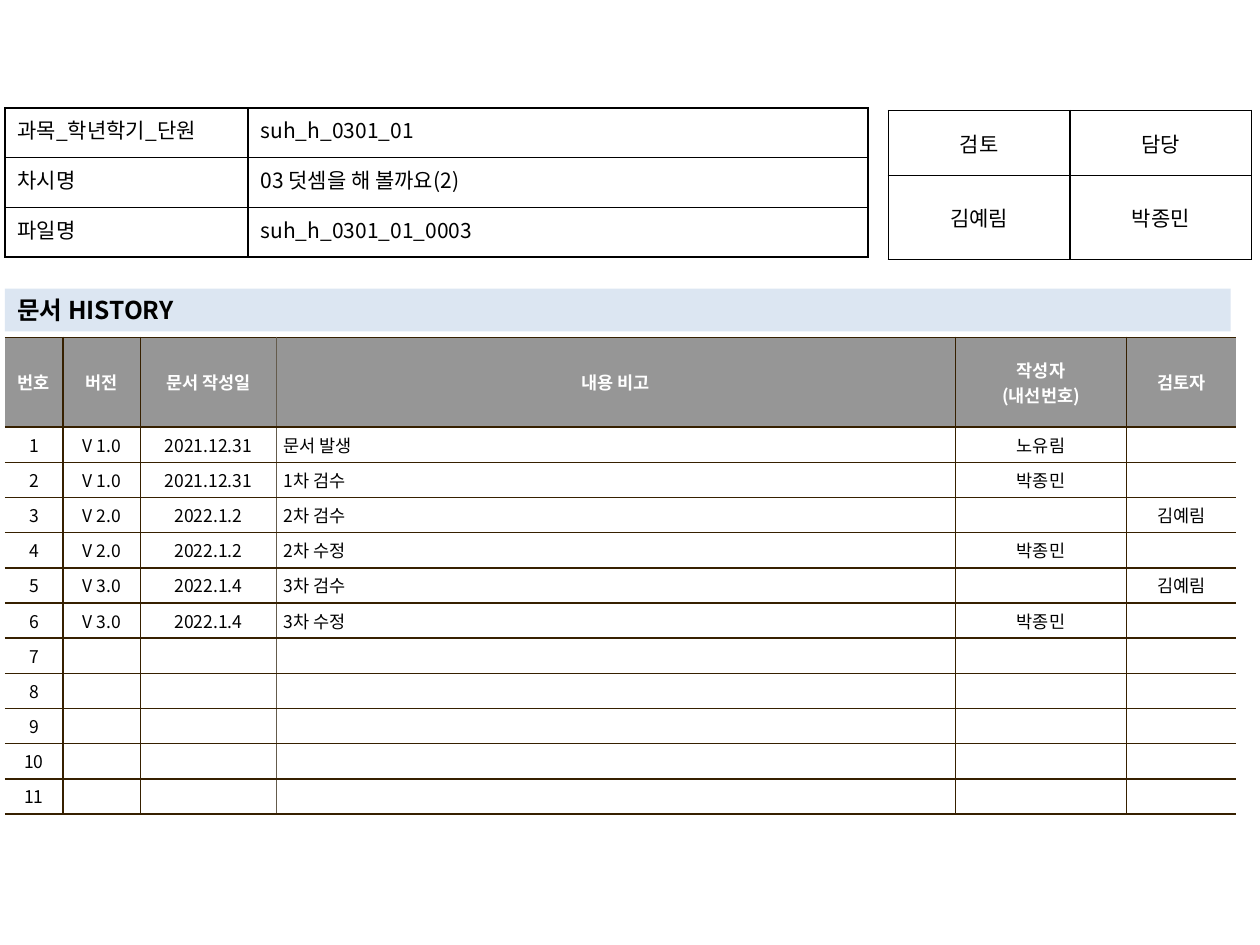
import lxml.etree
import pptx
import pptx.dml.color
import pptx.enum.shapes
import pptx.enum.text
import pptx.oxml.ns
import pptx.util

Cm, Pt = pptx.util.Cm, pptx.util.Pt
RGBColor = pptx.dml.color.RGBColor
Align, Anchor = pptx.enum.text.PP_ALIGN, pptx.enum.text.MSO_ANCHOR
qn = pptx.oxml.ns.qn

FONT = "Noto Sans CJK KR"
BLACK = RGBColor(0x00, 0x00, 0x00)
WHITE = RGBColor(0xFF, 0xFF, 0xFF)
GRAY = RGBColor(0x96, 0x96, 0x96)
PALE_BLUE = RGBColor(0xDC, 0xE6, 0xF2)
BROWN = RGBColor(0x36, 0x20, 0x00)
TAUPE = RGBColor(0x64, 0x5B, 0x4C)


def write(para, text, size, color=BLACK, bold=False):
    """Add one run, or only the end mark's size when there is no text."""
    if not text:
        lxml.etree.SubElement(para._p, qn("a:endParaRPr"), sz=str(size * 100))
        return
    span = para.add_run()
    span.text = text
    span.font.size = Pt(size)
    span.font.bold = bold
    span.font.name = FONT
    span.font.color.rgb = color
    lxml.etree.SubElement(span.font._element, qn("a:ea"), typeface=FONT)


def add_grid(left, top, widths, heights):
    """Add a plain table with the given column widths and row heights in cm."""
    frame = slide.shapes.add_table(
        len(heights), len(widths), Cm(left), Cm(top), Cm(sum(widths)), Cm(sum(heights)))
    table = frame.table
    table.first_row = table.horz_banding = False
    for column, width in zip(table.columns, widths):
        column.width = Cm(width)
    for row, height in zip(table.rows, heights):
        row.height = Cm(height)
    return table


deck = pptx.Presentation()
deck.slide_width, deck.slide_height = Cm(25.4), Cm(19.05)
slide = deck.slides.add_slide(deck.slide_layouts[6])

# Document history
headings = ["번호", "버전", "문서 작성일", "내용 비고", "작성자\n(내선번호)", "검토자"]
entries = [
    ["V 1.0", "2021.12.31", "문서 발생", "노유림", ""],
    ["V 1.0", "2021.12.31", "1차 검수", "박종민", ""],
    ["V 2.0", "2022.1.2", "2차 검수", "", "김예림"],
    ["V 2.0", "2022.1.2", "2차 수정", "박종민", ""],
    ["V 3.0", "2022.1.4", "3차 검수", "", "김예림"],
    ["V 3.0", "2022.1.4", "3차 수정", "박종민", ""],
] + [[""] * 5] * 5
history_rows = [headings] + [[str(n), *entry] for n, entry in enumerate(entries, 1)]
history = add_grid(0.1, 6.8, [1.17, 1.56, 2.74, 13.69, 3.45, 2.2], [1.81] + [0.64] * 11)

# Reviewers and file details
review_rows = [["검토", "담당"], ["김예림", "박종민"]]
review = add_grid(17.91, 2.23, [3.66, 3.66], [1.31, 1.69])
detail_rows = [
    ["과목_학년학기_단원", "suh_h_0301_01"],
    ["차시명", "03 덧셈을 해 볼까요(2)"],
    ["파일명", "suh_h_0301_01_0003"],
]
details = add_grid(0.1, 2.18, [4.9, 12.5], [1] * 3)

for table, rows in ((history, history_rows), (review, review_rows), (details, detail_rows)):
    is_history = table is history
    size = 10 if is_history else 12
    last = len(rows[0]) - 1
    for r, texts in enumerate(rows):
        for c, text in enumerate(texts):
            cell = table.cell(r, c)
            header = is_history and r == 0
            cell.vertical_anchor = Anchor.TOP if table is details else Anchor.MIDDLE
            if is_history:
                cell.margin_left = cell.margin_right = Cm(0.15)
                cell.margin_top = cell.margin_bottom = Cm(0.1)

            # The history table is open at its left and right edges
            edges = dict.fromkeys("LRTB", BROWN if is_history else BLACK)
            if is_history:
                edges["L"] = None if c == 0 else TAUPE if c == 3 else BROWN
                edges["R"] = None if c == last else TAUPE if c == 2 else BROWN
            for side, color in edges.items():
                line = lxml.etree.SubElement(
                    cell._tc.get_or_add_tcPr(), qn(f"a:ln{side}"), w=str(Pt(1)))
                if color is None:
                    lxml.etree.SubElement(line, qn("a:noFill"))
                else:
                    solid = lxml.etree.SubElement(line, qn("a:solidFill"))
                    lxml.etree.SubElement(solid, qn("a:srgbClr"), val=str(color))

            if is_history:
                cell.fill.solid()
                cell.fill.fore_color.rgb = GRAY if header else WHITE
            else:
                cell.fill.background()

            for n, part in enumerate(text.split("\n")):
                frame = cell.text_frame
                para = frame.add_paragraph() if n else frame.paragraphs[0]
                if table is details:
                    para.alignment = Align.LEFT if c else Align.JUSTIFY
                elif is_history and c == 3 and not header:
                    para.alignment = Align.LEFT
                    properties = para._p.get_or_add_pPr()
                    properties.set("marL", str(Cm(0.48)))
                    properties.set("indent", str(Cm(-0.48)))
                else:
                    para.alignment = Align.CENTER
                write(para, part, size, WHITE if header else BLACK, header)

# Section title bar
bar = slide.shapes.add_shape(
    pptx.enum.shapes.MSO_SHAPE.RECTANGLE, Cm(0.1), Cm(5.82), Cm(24.71), Cm(0.86))
bar.shadow.inherit = False
bar.fill.solid()
bar.fill.fore_color.rgb = PALE_BLUE
bar.line.fill.background()
bar.text_frame.word_wrap = True
bar.text_frame.vertical_anchor = Anchor.MIDDLE
title = bar.text_frame.paragraphs[0]
title.alignment = Align.LEFT
write(title, "문서 HISTORY", 14, bold=True)

deck.save("out.pptx")
